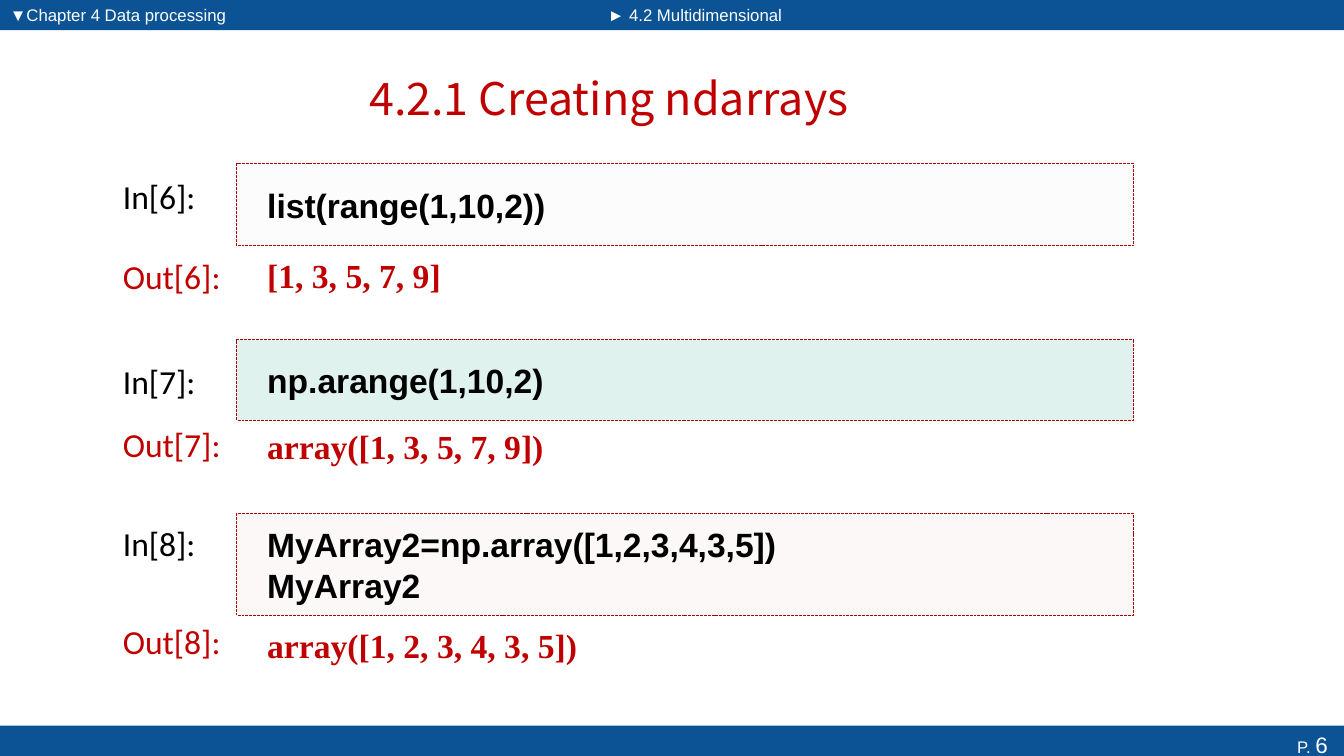
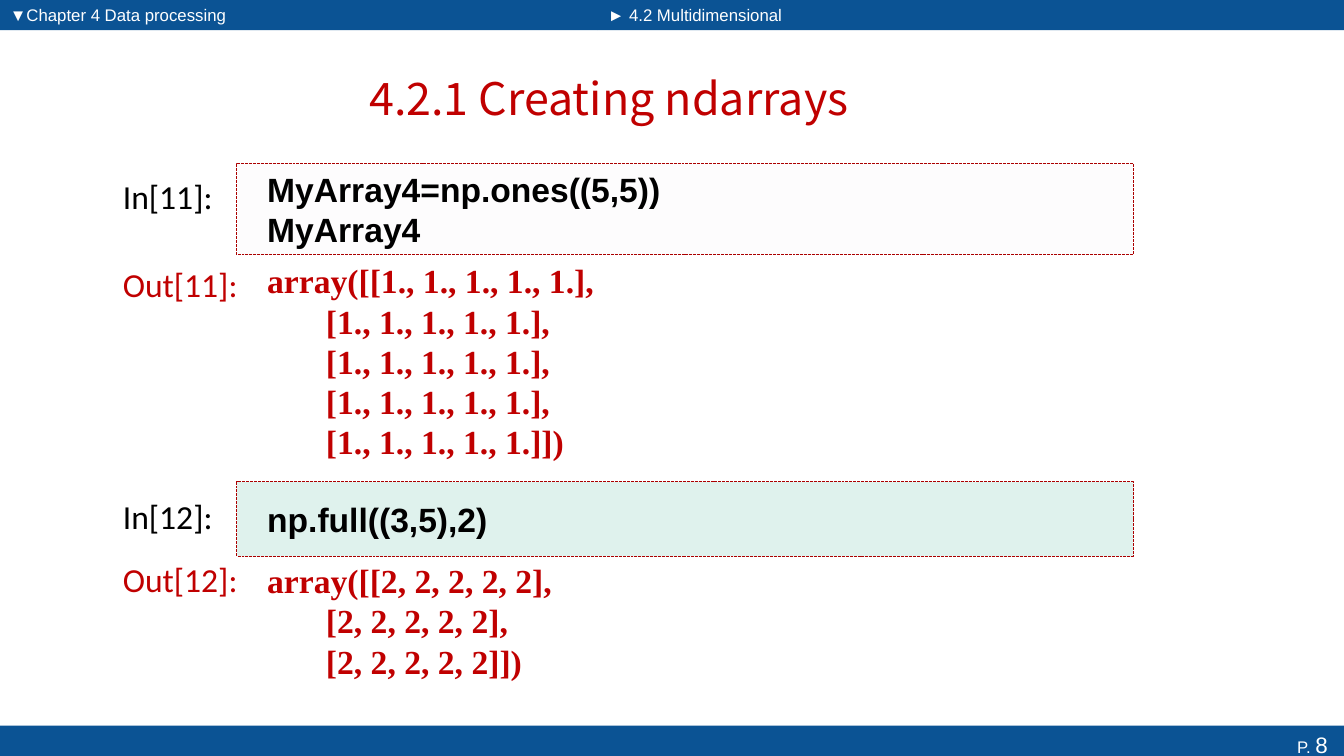
from dataclasses import dataclass

from lxml import etree
from pptx import Presentation
from pptx.dml import color
from pptx.enum import dml, shapes, text
from pptx.oxml import ns
from pptx.util import Inches, Pt

BLUE, RED, EDGE, BLACK, WHITE = "0B5394", "C00000", "AB0000", "000000", "FFFFFF"
GREY, GREEN, PINK = "F1EEF4", "0C9B74", "EDCDCB"
WIDE, HIGH = 13.33, 7.5
SPLIT, BAR = 5.93, 0.3
TAG_X, TAG_W, TAG_H = 1.12, 1.4, 0.5
CODE_X, CODE_W, PAD = 2.35, 8.89, 0.3
TINT = 13  # percent opacity of the code boxes
TOP, MID = text.MSO_ANCHOR.TOP, text.MSO_ANCHOR.MIDDLE
LEFT, RIGHT, MIDDLE = text.PP_ALIGN.LEFT, text.PP_ALIGN.RIGHT, text.PP_ALIGN.CENTER


@dataclass(frozen=True)
class Box:
    x: float
    y: float
    w: float
    h: float

    def lengths(self) -> list:
        return [Inches(v) for v in (self.x, self.y, self.w, self.h)]


@dataclass(frozen=True)
class Style:
    font: str
    size: float
    hue: str
    bold: bool = False


@dataclass(frozen=True)
class Part:
    """One input or output: its tag height, then its text block."""
    tag_y: float
    y: float
    h: float
    lines: tuple


@dataclass(frozen=True)
class Cell:
    num: int
    fill: str
    code: Part
    result: Part


@dataclass(frozen=True)
class Page:
    num: int
    cells: tuple


TITLE = Style("Noto Sans CJK SC", 32, RED)
HEAD = Style("Arial", 12, WHITE)
COUNT = Style("Arial", 16, WHITE)
CODE = Style("Arial", 24, BLACK, True)
RESULT = Style("Times New Roman", 24, RED, True)
TAG_IN = Style("Calibri", 24, BLACK)
TAG_OUT = Style("Calibri", 24, RED)

PAGES = (
    Page(6, (
        Cell(6, GREY,
             Part(1.7, 1.62, 0.82, ("list(range(1,10,2))",)),
             Part(2.49, 2.4, 0.65, ("[1, 3, 5, 7, 9]",))),
        Cell(7, GREEN,
             Part(3.53, 3.37, 0.8, ("np.arange(1,10,2)",)),
             Part(4.16, 4, 0.85, ("array([1, 3, 5, 7, 9])",))),
        Cell(8, PINK,
             Part(5.14, 5.09, 1.02, ("MyArray2=np.array([1,2,3,4,3,5])", "MyArray2")),
             Part(6.11, 6.07, 0.65, ("array([1, 2, 3, 4, 3, 5])",))),
    )),
    Page(8, (
        Cell(11, GREY,
             Part(1.7, 1.62, 0.91, ("MyArray4=np.ones((5,5))", "MyArray4")),
             Part(2.57, 2.54, 2.08, (
                 "array([[1., 1., 1., 1., 1.],",
                 *["       [1., 1., 1., 1., 1.],"] * 3,
                 "       [1., 1., 1., 1., 1.]])"))),
        Cell(12, GREEN,
             Part(4.87, 4.78, 0.74, ("np.full((3,5),2)",)),
             Part(5.5, 5.34, 1.63, (
                 "array([[2, 2, 2, 2, 2],",
                 "       [2, 2, 2, 2, 2],",
                 "       [2, 2, 2, 2, 2]])"))),
    )),
)


def rgb(code: str) -> color.RGBColor:
    return color.RGBColor.from_string(code)


def write(shape, lines: list, anchor=TOP, align=LEFT, left=0.1, right=0.1) -> None:
    """Fill a shape with lines, each a list of (words, style) runs."""
    frame = shape.text_frame
    frame.word_wrap = True
    frame.vertical_anchor = anchor
    frame.margin_left, frame.margin_right = Inches(left), Inches(right)
    for i, runs in enumerate(lines):
        para = frame.add_paragraph() if i else frame.paragraphs[0]
        para.alignment = align
        for words, style in runs:
            run = para.add_run()
            run.text = words
            font = run.font
            font.name, font.size, font.bold = style.font, Pt(style.size), style.bold
            font.color.rgb = rgb(style.hue)


def label(slide, box: Box, lines: tuple, style: Style, **opts) -> None:
    shape = slide.shapes.add_textbox(*box.lengths())
    write(shape, [[(line, style)] for line in lines], **opts)


def block(slide, box: Box, fill: str):
    """Add a plain filled rectangle with no outline."""
    shape = slide.shapes.add_shape(shapes.MSO_SHAPE.RECTANGLE, *box.lengths())
    shape.shadow.inherit = False
    shape.fill.solid()
    shape.fill.fore_color.rgb = rgb(fill)
    shape.line.fill.background()
    return shape


def fade(shape, percent: int) -> None:
    hue = shape.fill._xPr.find(".//" + ns.qn("a:srgbClr"))
    etree.SubElement(hue, ns.qn("a:alpha")).set("val", str(percent * 1000))


def draw_frame(slide, num: int) -> None:
    """Draw the bands, headings, title and page number."""
    block(slide, Box(0, 0, SPLIT, BAR), BLUE)
    block(slide, Box(SPLIT, 0, WIDE - SPLIT, BAR), BLUE)
    foot = block(slide, Box(0, 7.2, WIDE, 0.37), BLUE)
    write(foot, [[("P. ", HEAD), (str(num), COUNT)]], align=RIGHT, right=0.16)
    label(slide, Box(0, 0, 4.83, BAR), ("▼Chapter 4 Data processing",), HEAD, anchor=MID)
    label(slide, Box(SPLIT, 0, 2.38, BAR), ("► 4.2 Multidimensional",), HEAD, anchor=MID)
    label(slide, Box(0.68, 0.52, 10.72, 0.9), ("4.2.1 Creating ndarrays",), TITLE,
          anchor=MID, align=MIDDLE)


def draw_cell(slide, cell: Cell) -> None:
    code, result = cell.code, cell.result
    label(slide, Box(TAG_X, code.tag_y, TAG_W, TAG_H), (f"In[{cell.num}]:",), TAG_IN)
    shape = block(slide, Box(CODE_X, code.y, CODE_W, code.h), cell.fill)
    fade(shape, TINT)
    shape.line.color.rgb = rgb(EDGE)
    shape.line.width = Pt(0.7)
    shape.line.dash_style = dml.MSO_LINE.SQUARE_DOT
    write(shape, [[(line, CODE)] for line in code.lines], anchor=MID, left=PAD)
    label(slide, Box(TAG_X, result.tag_y, TAG_W, TAG_H), (f"Out[{cell.num}]:",), TAG_OUT)
    label(slide, Box(CODE_X, result.y, CODE_W, result.h), result.lines, RESULT,
          anchor=MID, left=PAD)


def main() -> None:
    deck = Presentation()
    deck.slide_width, deck.slide_height = Inches(WIDE), Inches(HIGH)
    for page in PAGES:
        slide = deck.slides.add_slide(deck.slide_layouts[6])
        draw_frame(slide, page.num)
        for cell in page.cells:
            draw_cell(slide, cell)
    deck.save("out.pptx")


if __name__ == "__main__":
    main()
